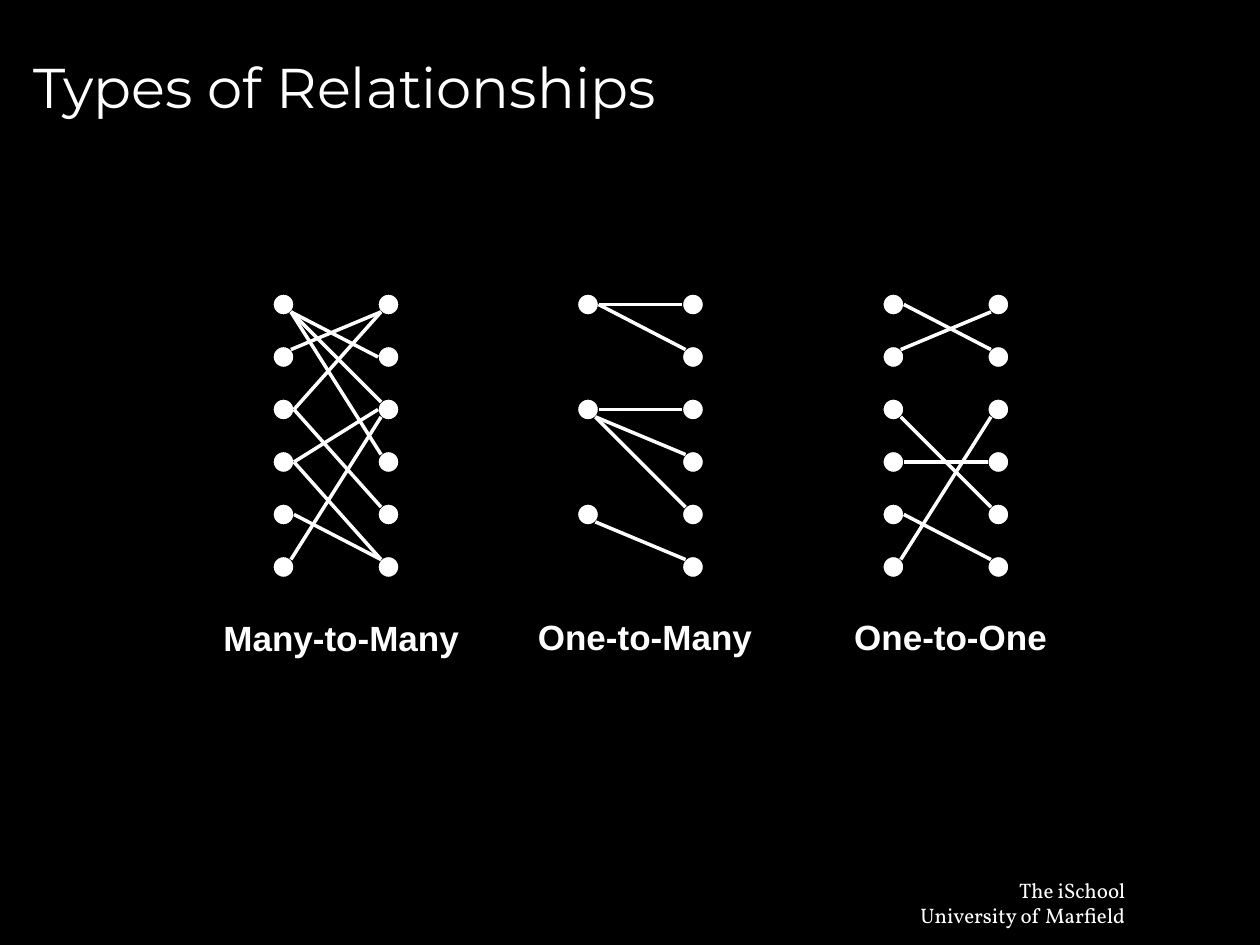
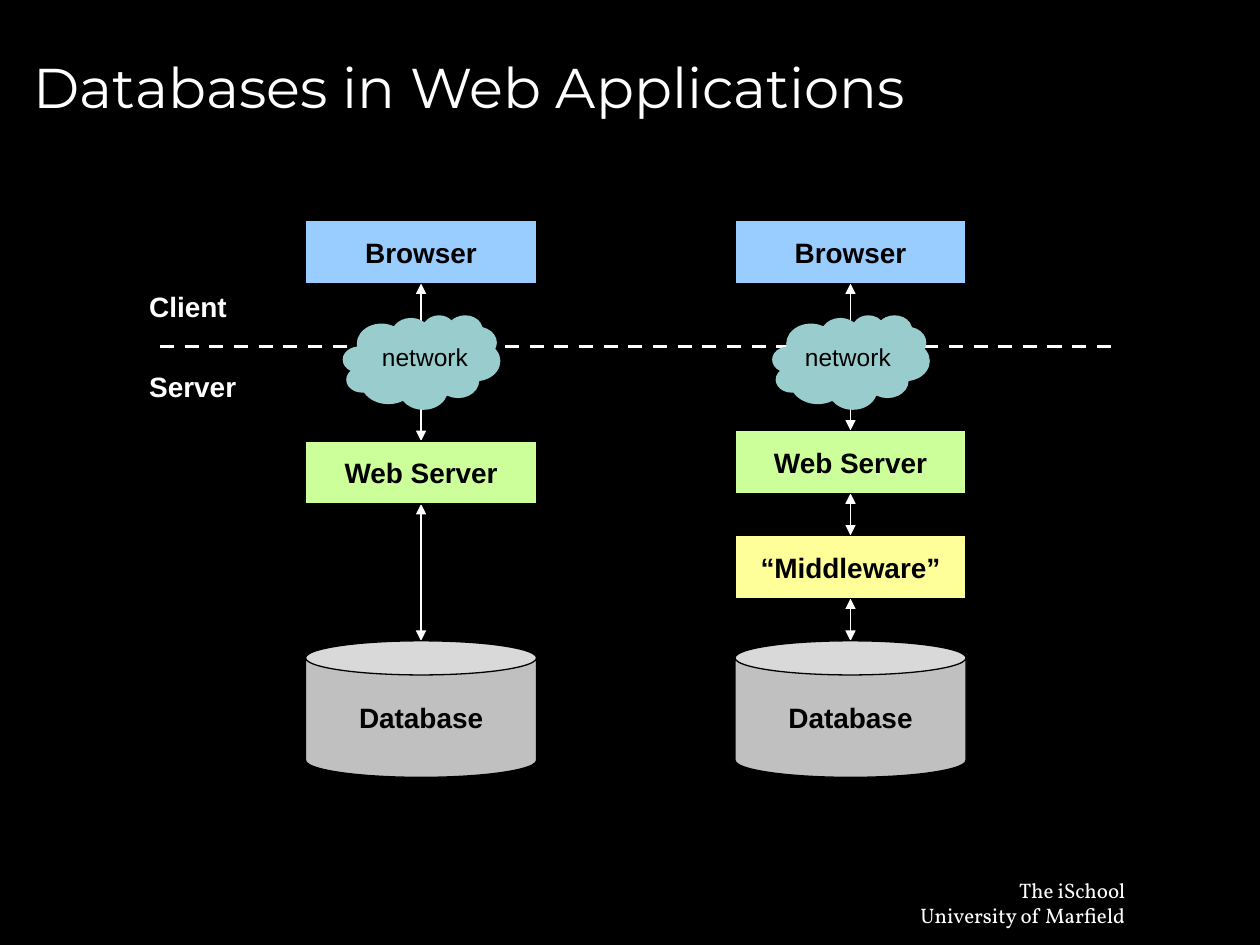
from dataclasses import dataclass
from itertools import pairwise

from lxml import etree
from pptx import Presentation
from pptx.dml.color import RGBColor
from pptx.enum.dml import MSO_LINE
from pptx.enum.shapes import MSO_CONNECTOR, MSO_SHAPE
from pptx.enum.text import MSO_ANCHOR, PP_ALIGN
from pptx.oxml.ns import qn
from pptx.util import Pt

RECT, CAN, OVAL = MSO_SHAPE.RECTANGLE, MSO_SHAPE.CAN, MSO_SHAPE.OVAL
CLOUD = MSO_SHAPE.CLOUD_CALLOUT
LINE, DASH = MSO_CONNECTOR.STRAIGHT, MSO_LINE.DASH
LEFT, MID, RIGHT = PP_ALIGN.LEFT, PP_ALIGN.CENTER, PP_ALIGN.RIGHT
TOP, CENTER = MSO_ANCHOR.TOP, MSO_ANCHOR.MIDDLE

COLORS = {
    "black": "000000",
    "white": "FFFFFF",
    "blue": "99CCFF",
    "green": "CCFF99",
    "yellow": "FFFF99",
    "gray": "C0C0C0",
    "teal": "99CCCC",
}
FONTS = {
    "title": {"name": "Montserrat", "size": Pt(32)},
    "footer": {"name": "Vollkorn", "size": Pt(12)},
    "caption": {"name": "Arial", "size": Pt(20), "bold": True},
    "label": {"name": "Arial", "size": Pt(16), "bold": True},
    "net": {"name": "Arial", "size": Pt(14)},
}

DOT, STEP, GAP, FIRST = 12, 30, 60, 168
PORTS = {"e": (6, 0), "d": (4.24, 4.24), "u": (4.24, -4.24)}
WIDE = 132


@dataclass
class Box:
    x: float
    y: float
    w: float
    h: float


@dataclass
class Graph:
    x: float
    rows: range
    links: str
    name: str
    spot: Box


@dataclass
class Node:
    name: str
    color: str
    y: float
    h: float = 36
    kind: int = RECT


@dataclass
class Stack:
    x: float
    shift: float
    nodes: list[Node]


GRAPHS = [
    Graph(156, range(6), "0d2u 0d1e 0d3u 3e2e 5u2d 2e0d 2e4u 4e5u 3e5u 1u0d",
          "Many-to-Many", Box(115, 349, 160, 31)),
    Graph(330, range(0, 6, 2), "0e0e 0e1u 2e2e 2d3u 2d4u 4d5u",
          "One-to-Many", Box(300.3, 348, 144, 31)),
    Graph(504.5, range(6), "0e1u 1u0d 4e5u 3e3e 2d4u 5u2d",
          "One-to-One", Box(481, 348, 132, 31)),
]
TOP_NODE = Node("Browser", "blue", 126)
BASE_NODE = Node("Database", "gray", 366.2, 78, CAN)
STACKS = [
    Stack(174.6, 36.6, [TOP_NODE, Node("Web Server", "green", 252), BASE_NODE]),
    Stack(420, 32.9, [TOP_NODE, Node("Web Server", "green", 246),
                      Node("“Middleware”", "yellow", 306), BASE_NODE]),
]


def rgb(name: str) -> RGBColor:
    return RGBColor.from_string(COLORS[name])


def write(shape, text: str, style: str, color: str, align=LEFT,
          anchor=TOP) -> None:
    frame = shape.text_frame
    frame.word_wrap = False
    frame.vertical_anchor = anchor
    frame.text = text
    for para in frame.paragraphs:
        para.alignment = align
        for key, value in FONTS[style].items():
            setattr(para.font, key, value)
        para.font.color.rgb = rgb(color)


def add_text(slide, box: Box, text: str, style: str, color: str = "white",
             align=LEFT, anchor=TOP) -> None:
    shape = slide.shapes.add_textbox(Pt(box.x), Pt(box.y), Pt(box.w), Pt(box.h))
    write(shape, text, style, color, align, anchor)


def add_form(slide, kind: int, box: Box, color: str, edge: bool = True):
    shape = slide.shapes.add_shape(kind, Pt(box.x), Pt(box.y), Pt(box.w), Pt(box.h))
    shape.shadow.inherit = False
    shape.fill.solid()
    shape.fill.fore_color.rgb = rgb(color)
    if edge:
        shape.line.color.rgb = rgb("black")
        shape.line.width = Pt(0.75)
    else:
        shape.line.fill.background()
    return shape


def add_line(slide, x1: float, y1: float, x2: float, y2: float,
             width: float = 2):
    link = slide.shapes.add_connector(LINE, Pt(x1), Pt(y1), Pt(x2), Pt(y2))
    link.line.color.rgb = rgb("white")
    link.line.width = Pt(width)
    etree.SubElement(link._element.spPr, qn("a:effectLst"))
    return link


def add_arrow(slide, x: float, start: float, end: float) -> None:
    link = add_line(slide, x, start, x, end, 0.75)
    for tag in ("a:headEnd", "a:tailEnd"):
        etree.SubElement(link.line._get_or_add_ln(), qn(tag), type="triangle")


def add_slide(deck, title: str):
    slide = deck.slides.add_slide(deck.slide_layouts[6])
    add_text(slide, Box(500.2, 498, 150, 36),
             "The iSchool\nUniversity of Marfield", "footer", align=RIGHT)
    add_text(slide, Box(12, 8.5, 684, 81), title, "title", anchor=CENTER)
    return slide


def add_dot(slide, x: float, row: int) -> None:
    add_form(slide, OVAL, Box(x, FIRST + STEP * row, DOT, DOT), "white")


def draw_graph(slide, graph: Graph) -> None:
    for row in graph.rows:
        add_dot(slide, graph.x, row)
    for row in range(6):
        add_dot(slide, graph.x + GAP, row)
    x, y = graph.x + DOT / 2, FIRST + DOT / 2
    for row, port, goal, dock in graph.links.split():
        dx1, dy1 = PORTS[port]
        dx2, dy2 = PORTS[dock]
        add_line(slide, x + dx1, y + STEP * int(row) + dy1,
                 x + GAP - dx2, y + STEP * int(goal) + dy2)
    align = MID if graph is GRAPHS[0] else LEFT
    add_text(slide, graph.spot, graph.name, "caption", align=align)


def draw_cloud(slide, x: float, shift: float) -> None:
    cloud = add_form(slide, CLOUD, Box(x + 21.3, 180, 90, 54), "teal", False)
    cloud.adjustments[0] = -0.11
    cloud.adjustments[1] = -0.11
    for dx, y in ((30.7, 186), (45.1, 192)):
        add_form(slide, OVAL, Box(x + dx, y, 24, 18), "teal", False)
    add_text(slide, Box(x + shift, 192, 72, 24.5), "network", "net", "black")


def draw_stack(slide, stack: Stack) -> None:
    for upper, lower in pairwise(stack.nodes):
        add_arrow(slide, stack.x + WIDE / 2, upper.y + upper.h, lower.y)
    for node in stack.nodes:
        shape = add_form(slide, node.kind, Box(stack.x, node.y, WIDE, node.h),
                         node.color)
        if node.kind == CAN:
            shape.adjustments[0] = 0.25
        write(shape, node.name, "label", "black", MID, CENTER)
    draw_cloud(slide, stack.x, stack.shift)


def main() -> None:
    deck = Presentation()
    deck.slide_width, deck.slide_height = Pt(720), Pt(540)
    back = deck.slide_master.background.fill
    back.solid()
    back.fore_color.rgb = rgb("black")

    slide = add_slide(deck, "Types of Relationships")
    for graph in GRAPHS:
        draw_graph(slide, graph)

    slide = add_slide(deck, "Databases in Web Applications")
    add_line(slide, 91.4, 198, 637.2, 198).line.dash_style = DASH
    for name, y in (("Client", 162), ("Server", 207.5)):
        add_text(slide, Box(78.2, y, 72, 26.6), name, "label")
    for stack in STACKS:
        draw_stack(slide, stack)

    deck.save("out.pptx")


if __name__ == "__main__":
    main()
